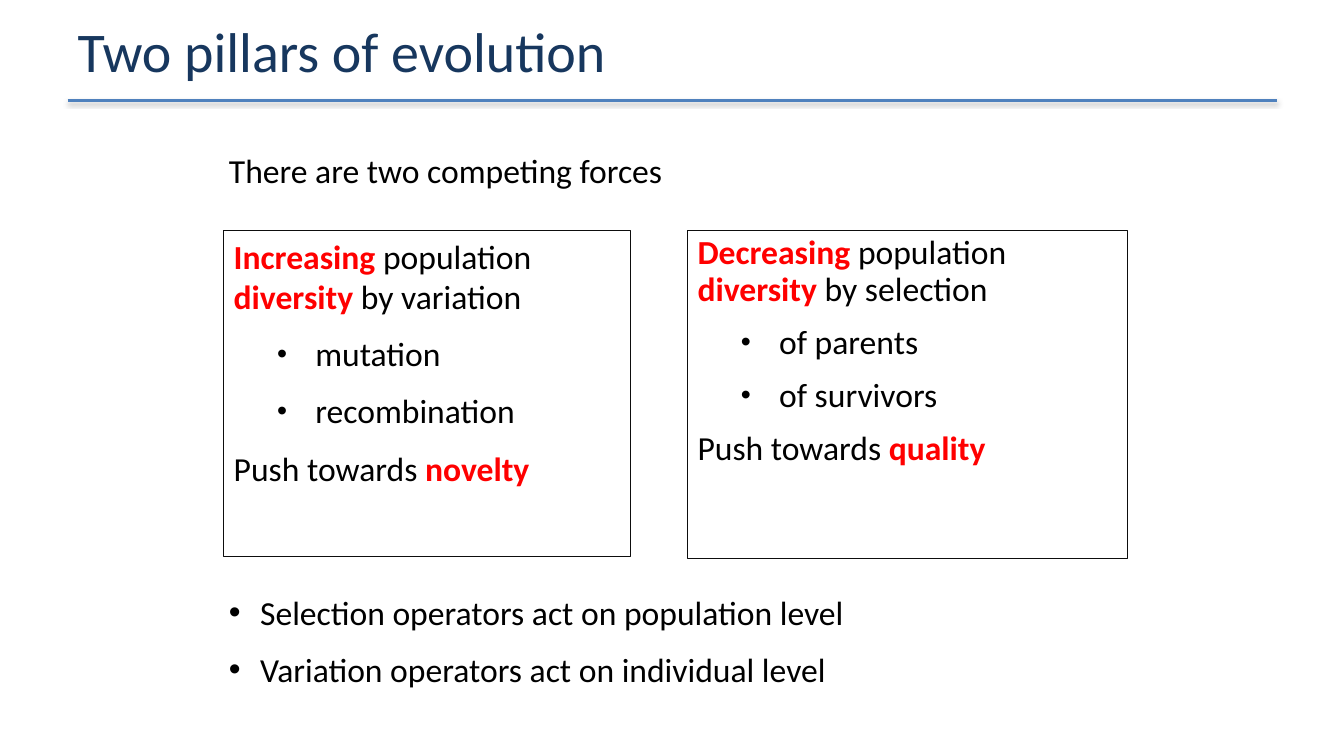
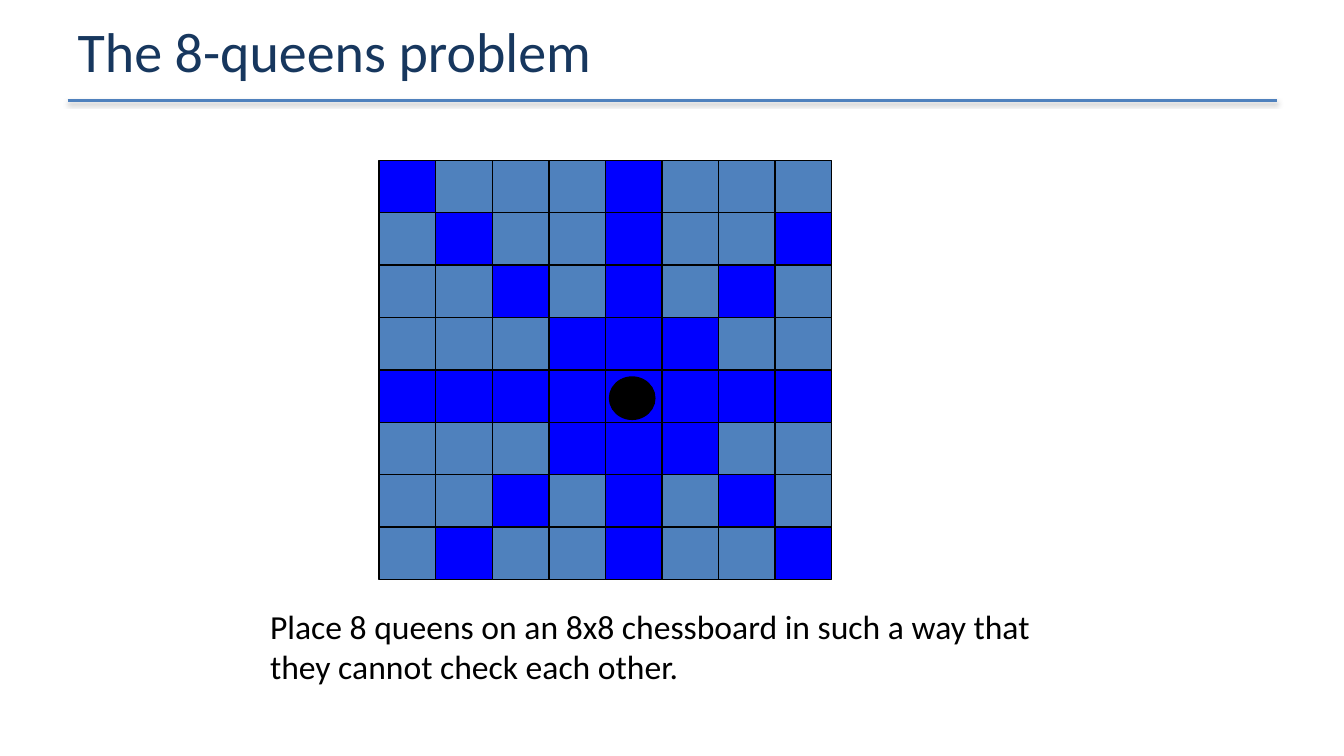
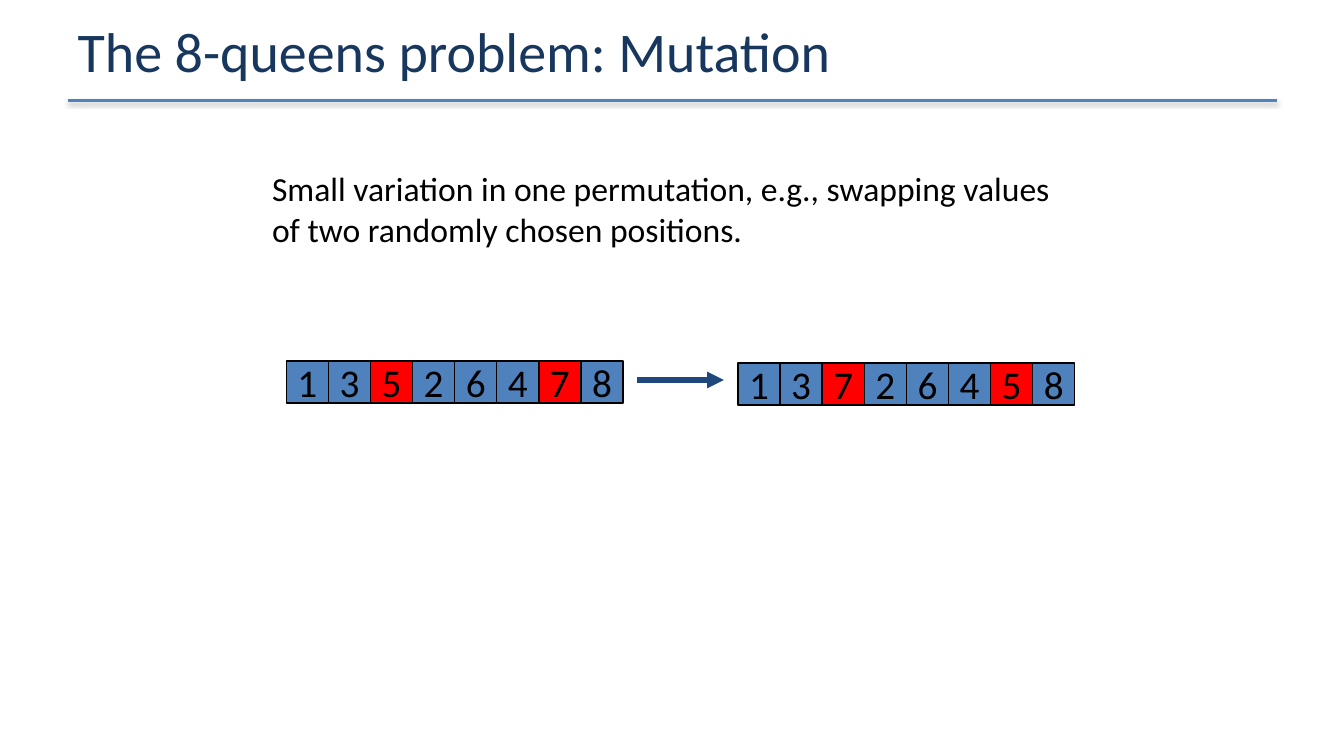
import lxml.etree
import pptx
import pptx.dml.color
import pptx.enum.shapes
import pptx.enum.text
import pptx.oxml.ns
import pptx.util

Inches = pptx.util.Inches
Pt = pptx.util.Pt

COLOURS = {
    "title": "17375E",
    "steel": "4F81BD",
    "arrow": "1F497D",
    "attack": "0000FF",
    "accent": "FF0000",
    "text": "000000",
    "frame": "0D0D0D",
}
FONT = "Calibri"
BODY_SIZE = 24
TITLE_BOX = (0.67, 0.02, 12, 0.95)
TWO_CONTENT_LAYOUT = 3
TITLE_ONLY_LAYOUT = 5
BOARD_SIZE = 8


def colour(name):
    """Return the named colour as an RGB value."""
    return pptx.dml.color.RGBColor.from_string(COLOURS[name])


def add_element(parent, tag, **attributes):
    """Append a drawing element with the given attributes."""
    return lxml.etree.SubElement(parent, pptx.oxml.ns.qn(tag), attributes)


def add_run(paragraph, text, size=BODY_SIZE, colour_name="text", bold=False):
    """Add one formatted run to a paragraph."""
    run = paragraph.add_run()
    run.text = text
    run.font.name = FONT
    run.font.size = Pt(size)
    run.font.bold = bold
    run.font.color.rgb = colour(colour_name)


def set_bullet(paragraph, left=0, hanging=0, percent=None):
    """Indent a paragraph and give it a bullet when it has a hanging indent."""
    properties = paragraph._p.get_or_add_pPr()
    properties.set("marL", str(Inches(left)))
    properties.set("indent", str(-Inches(hanging)))
    if not hanging:
        add_element(properties, "a:buNone")
        return
    if percent:
        add_element(properties, "a:buSzPct", val=str(percent * 1000))
    add_element(properties, "a:buFont", typeface="Arial")
    add_element(properties, "a:buChar", char="•")


def next_paragraph(frame, index):
    """Return the first paragraph of a frame or a new one after it."""
    return frame.add_paragraph() if index else frame.paragraphs[0]


def place(shape, box):
    """Move a shape to a box given in inches."""
    shape.left, shape.top, shape.width, shape.height = map(Inches, box)


def prepare_frame(shape, anchor, insets=(0.1, 0.05)):
    """Set wrapping, anchor and insets of a shape's text and return its frame."""
    frame = shape.text_frame
    frame.word_wrap = True
    frame.auto_size = pptx.enum.text.MSO_AUTO_SIZE.NONE
    frame.vertical_anchor = anchor
    frame.margin_left = frame.margin_right = Inches(insets[0])
    frame.margin_top = frame.margin_bottom = Inches(insets[1])
    return frame


def add_shape(slide, kind, box, fill, line="text", line_width=1):
    """Add a flat preset shape, left unfilled when fill is None."""
    shape = slide.shapes.add_shape(kind, *map(Inches, box))
    shape.shadow.inherit = False
    if fill:
        shape.fill.solid()
        shape.fill.fore_color.rgb = colour(fill)
    else:
        shape.fill.background()
    shape.line.color.rgb = colour(line)
    shape.line.width = Pt(line_width)
    return shape


def add_square(slide, box, fill, line="text", line_width=1):
    """Add a flat rectangle."""
    kind = pptx.enum.shapes.MSO_SHAPE.RECTANGLE
    return add_shape(slide, kind, box, fill, line, line_width)


def add_line(slide, start, end, colour_name, width):
    """Add a straight connector and return it with its empty effect list."""
    line = slide.shapes.add_connector(
        pptx.enum.shapes.MSO_CONNECTOR.STRAIGHT, *map(Inches, start + end))
    line.line.color.rgb = colour(colour_name)
    line.line.width = Pt(width)
    return line, add_element(line.element.spPr, "a:effectLst")


def add_master_rule(slide, master):
    """Draw the shadowed rule below the title and hang it on the master."""
    rule, effects = add_line(slide, (0.67, 1), (12.67, 1), "steel", 2)
    shadow = add_element(effects, "a:outerShdw", blurRad="40000", dist="20000",
                         dir="5400000", rotWithShape="0")
    shade = add_element(shadow, "a:srgbClr", val=COLOURS["text"])
    add_element(shade, "a:alpha", val="38000")
    rule.element.nvCxnSpPr.cNvPr.set("id", "20")
    master.shapes.element.append(rule.element)


def add_titled_slide(presentation, layout_index, title):
    """Add a slide with the shared title style."""
    slide = presentation.slides.add_slide(presentation.slide_layouts[layout_index])
    shape = slide.shapes.title
    place(shape, TITLE_BOX)
    frame = prepare_frame(shape, pptx.enum.text.MSO_ANCHOR.MIDDLE, (0.1, 0))
    paragraph = frame.paragraphs[0]
    paragraph.alignment = pptx.enum.text.PP_ALIGN.LEFT
    add_run(paragraph, title, 40, "title")
    return slide


def fill_body(placeholder, box, lines, hanging=0):
    """Fill a body placeholder with a list, bulleted when hanging."""
    place(placeholder, box)
    frame = prepare_frame(placeholder, pptx.enum.text.MSO_ANCHOR.TOP)
    for index, line in enumerate(lines):
        paragraph = next_paragraph(frame, index)
        paragraph.space_before = Pt(12)
        set_bullet(paragraph, hanging, hanging)
        add_run(paragraph, line)


def add_caption(slide, box, text):
    """Add a wrapped paragraph of plain text."""
    shape = slide.shapes.add_textbox(*map(Inches, box))
    frame = prepare_frame(shape, pptx.enum.text.MSO_ANCHOR.TOP)
    add_run(frame.paragraphs[0], text)


def add_force_box(slide, box, direction, means, examples, goal, line_spacing):
    """Add a framed description of one evolutionary force."""
    shape = add_square(slide, box, None, "frame", 0.75)
    frame = prepare_frame(shape, pptx.enum.text.MSO_ANCHOR.TOP)
    opening = [(direction + " ", True), ("population ", False),
               ("diversity ", True), ("by " + means, False)]
    closing = [("Push towards ", False), (goal, True)]
    items = [[(example, False)] for example in examples]
    for index, runs in enumerate([opening, *items, closing]):
        paragraph = next_paragraph(frame, index)
        paragraph.alignment = pptx.enum.text.PP_ALIGN.LEFT
        paragraph.line_spacing = line_spacing
        paragraph.space_before = Pt(12)
        if runs in items:
            paragraph.level = 1
            set_bullet(paragraph, 0.81, 0.38, 85)
        for text, strong in runs:
            add_run(paragraph, text, BODY_SIZE, "accent" if strong else "text", strong)


def add_board(slide, box, queen):
    """Add a chessboard that marks the squares one queen attacks."""
    left, top, width, height = box
    cell_width, cell_height = width / BOARD_SIZE, height / BOARD_SIZE
    queen_row, queen_column = queen
    for row in range(BOARD_SIZE):
        for column in range(BOARD_SIZE):
            down, across = abs(row - queen_row), abs(column - queen_column)
            attacked = down == 0 or across == 0 or down == across
            cell = (left + column * cell_width, top + row * cell_height,
                    cell_width, cell_height)
            add_square(slide, cell, "attack" if attacked else "steel")
    piece = (left + queen_column * cell_width + 0.04,
             top + queen_row * cell_height + 0.07, 0.45, 0.42)
    add_shape(slide, pptx.enum.shapes.MSO_SHAPE.OVAL, piece, "text")


def add_permutation(slide, box, digits, swapped):
    """Add a row of numbered squares with the swapped values highlighted."""
    left, top, width, height = box
    cell_width = width / len(digits)
    for index, digit in enumerate(digits):
        cell = (left + index * cell_width, top, cell_width, height)
        square = add_square(slide, cell, "accent" if digit in swapped else "steel")
        frame = prepare_frame(square, pptx.enum.text.MSO_ANCHOR.MIDDLE, (0, 0))
        frame.word_wrap = False
        paragraph = frame.paragraphs[0]
        paragraph.alignment = pptx.enum.text.PP_ALIGN.CENTER
        add_run(paragraph, digit, 28)


def add_arrow(slide, start, end):
    """Add a thick arrow from start to end."""
    arrow, _ = add_line(slide, start, end, "arrow", 4)
    add_element(arrow.line._get_or_add_ln(), "a:tailEnd", type="triangle")


def build_pillars_slide(presentation):
    """Build the slide about the two competing forces."""
    slide = add_titled_slide(presentation, TWO_CONTENT_LAYOUT, "Two pillars of evolution")
    fill_body(slide.placeholders[1], (2.17, 1.44, 9, 0.76),
              ["There are two competing forces"])
    add_force_box(slide, (2.22, 2.29, 4.03, 3.23), "Increasing", "variation",
                  ["mutation", "recombination"], "novelty", 1.0)
    add_force_box(slide, (6.82, 2.29, 4.36, 3.25), "Decreasing", "selection",
                  ["of parents", "of survivors"], "quality", 0.9)
    fill_body(slide.placeholders[2], (2.17, 5.82, 8.85, 1.08),
              ["Selection operators act on population level",
               "Variation operators act on individual level"], 0.31)
    return slide


def build_queens_slide(presentation):
    """Build the slide that states the chessboard problem."""
    slide = add_titled_slide(presentation, TITLE_ONLY_LAYOUT, "The 8-queens problem")
    add_board(slide, (3.76, 1.59, 4.49, 4.16), (4, 4))
    add_caption(slide, (2.58, 5.96, 8.21, 0.91),
                "Place 8 queens on an 8x8 chessboard in such a way that "
                "they cannot check each other.")


def build_mutation_slide(presentation):
    """Build the slide that shows a swap mutation."""
    slide = add_titled_slide(presentation, TITLE_ONLY_LAYOUT,
                             "The 8-queens problem: Mutation")
    add_caption(slide, (2.6, 1.62, 8.17, 0.91),
                "Small variation in one permutation, e.g., swapping values "
                "of two randomly chosen positions.")
    add_permutation(slide, (2.84, 3.58, 3.34, 0.42), "13526478", "57")
    add_arrow(slide, (6.32, 3.77), (7.18, 3.77))
    add_permutation(slide, (7.32, 3.6, 3.34, 0.42), "13726458", "57")


def main():
    """Build and save the presentation."""
    presentation = pptx.Presentation()
    presentation.slide_width = Inches(13.33)
    presentation.slide_height = Inches(7.5)
    first_slide = build_pillars_slide(presentation)
    add_master_rule(first_slide, presentation.slide_master)
    build_queens_slide(presentation)
    build_mutation_slide(presentation)
    presentation.save("out.pptx")


if __name__ == "__main__":
    main()
